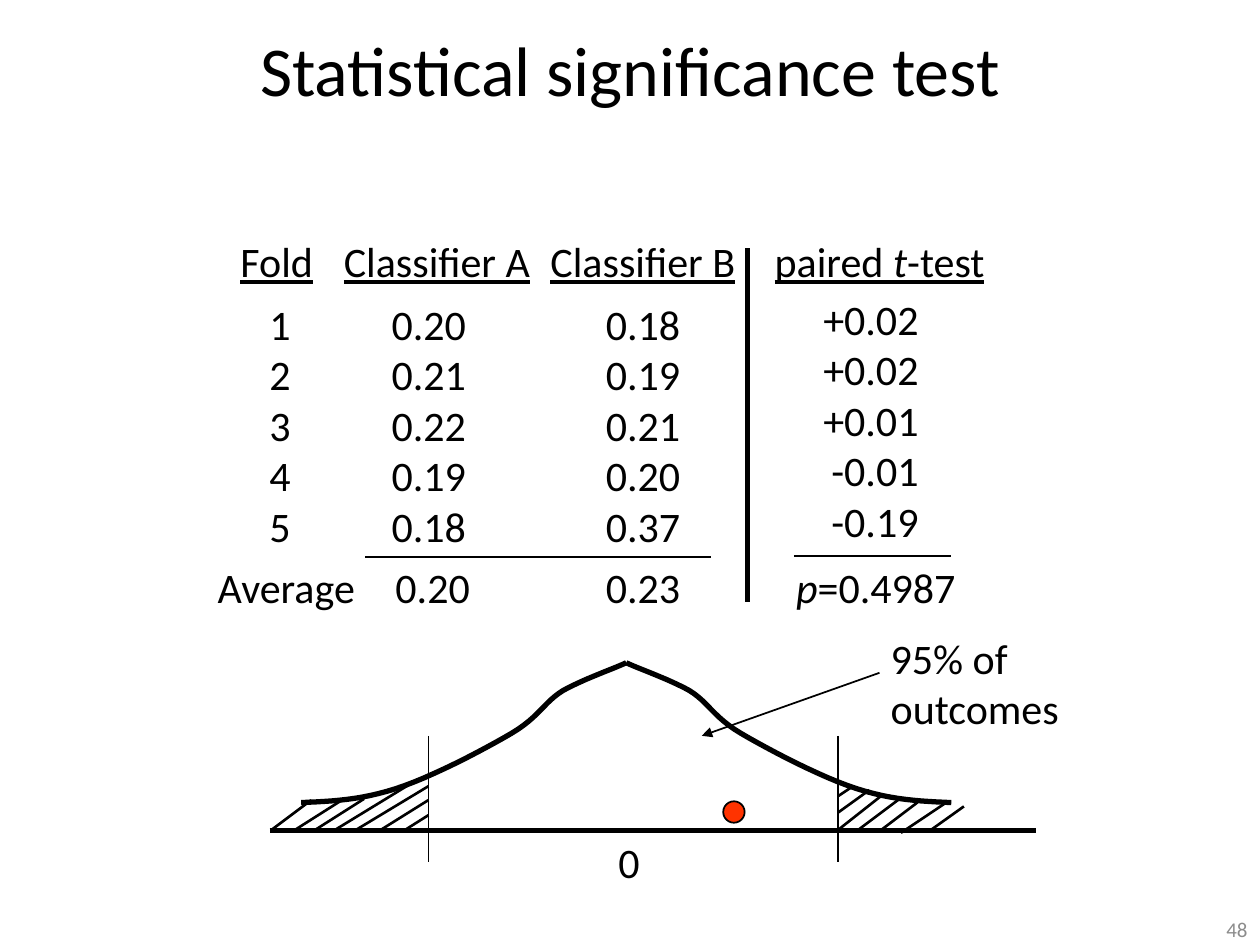
from lxml.etree import SubElement
from pptx import Presentation
from pptx.dml.color import RGBColor
from pptx.enum.shapes import MSO_CONNECTOR as Connector, MSO_SHAPE as Shape
from pptx.enum.text import MSO_ANCHOR as Anchor, MSO_AUTO_SIZE as AutoSize, PP_ALIGN as Align
from pptx.oxml.ns import qn
from pptx.util import Inches, Pt

COLORS = {"ink": "000000", "muted": "8C8C8C", "outcome": "FF3300"}

# Content: plain strings, or lists of (text, italic) runs
TITLE = "Statistical significance test"
PAGE_NUMBER = "48"
HEADER_TOP, FOLDS_TOP, SUMMARY_TOP = 1.82, 2.32, 4.41

# header, folds and summary each carry their own left edge and width
COLUMNS = [
    {"header": ("Fold", 1.81, 0.78),
     "folds": (["1", "2", "3", "4", "5"], 2.04, 0.37),
     "summary": ("Average", 1.63, 1.3)},
    {"header": ("Classifier A", 2.63, 1.69),
     "folds": (["0.20", "0.21", "0.22", "0.19", "0.18"], 3.01, 0.79),
     "summary": ("0.20", 3.04, 0.79)},
    {"header": ("Classifier B", 4.27, 1.68),
     "folds": (["0.18", "0.19", "0.21", "0.20", "0.37"], 4.71, 0.79),
     "summary": ("0.23", 4.71, 0.79)},
    {"header": ([("paired ", False), ("t", True), ("-test", False)], 6.05, 1.88),
     "folds": (["+0.02", "+0.02", "+0.01", "-0.01", "-0.19"], 6.43, 0.96),
     "summary": ([("p", True), ("=0.4987", False)], 6.22, 1.48),
     "align": Align.RIGHT, "lift": 0.04},
]

# Lines as (x1, y1, x2, y2), grouped by weight in points
LINES = {
    3: [(2.14, 6.59, 8.22, 6.59),       # axis
        (5.93, 1.97, 5.93, 4.78)],      # divider before the test column
    1: [(2.9, 4.42, 5.64, 4.42), (6.3, 4.41, 7.55, 4.41),      # sum rules
        (3.4, 5.84, 3.4, 6.84), (6.65, 5.84, 6.65, 6.84)],     # cut-offs
    1.5: [(3.4, 6.35, 3, 6.6), (3.4, 6.24, 2.82, 6.59),        # left tail
          (3.26, 6.22, 2.67, 6.58), (3.4, 6.47, 3.21, 6.59),
          (2.89, 6.34, 2.48, 6.6), (2.73, 6.34, 2.32, 6.6),
          (2.47, 6.35, 2.15, 6.59),
          (7.65, 6.4, 7.37, 6.6), (6.9, 6.27, 6.65, 6.45),     # right tail
          (7.51, 6.37, 7.15, 6.61), (6.77, 6.24, 6.65, 6.32),
          (7.28, 6.37, 6.99, 6.59), (7.14, 6.34, 6.82, 6.58),
          (6.99, 6.32, 6.66, 6.58)],
}
OUTCOMES_ARROW = (6.98, 5.34, 5.57, 5.84)

# Left half of the bell: chained cubic Béziers sharing end points
BELL = [(2.39, 6.37), (2.63, 6.36), (2.86, 6.35), (3.14, 6.26),
        (3.42, 6.17), (3.84, 5.95), (4.06, 5.82),
        (4.28, 5.69), (4.32, 5.57), (4.47, 5.48),
        (4.63, 5.39), (4.89, 5.3), (4.97, 5.26)]
BELL_CENTER = 4.97
STEPS = 12


def rgb(name):
    return RGBColor.from_string(COLORS[name])


def write(paragraph, content, align=Align.LEFT, color="ink", **font):
    paragraph.alignment = align
    runs = [(content, False)] if isinstance(content, str) else content
    for text, italic in runs:
        run = paragraph.add_run()
        run.text = text
        look = {"name": "Calibri", "size": Pt(24), "italic": italic, **font}
        for key, value in look.items():
            setattr(run.font, key, value)
        run.font.color.rgb = rgb(color)


def add_text(slide, rows, left, top, width, height=None, frame=None, **look):
    height = height or 0.1 + 0.4 * len(rows)
    box = slide.shapes.add_textbox(*map(Inches, (left, top, width, height)))
    settings = {"word_wrap": False, "auto_size": AutoSize.SHAPE_TO_FIT_TEXT, **(frame or {})}
    for key, value in settings.items():
        setattr(box.text_frame, key, value)
    for index, row in enumerate(rows):
        paragraph = box.text_frame.add_paragraph() if index else box.text_frame.paragraphs[0]
        write(paragraph, row, **look)


def add_line(slide, ends, weight, arrow=False):
    connector = slide.shapes.add_connector(Connector.STRAIGHT, *map(Inches, ends))
    connector.line.color.rgb = rgb("ink")
    connector.line.width = Pt(weight)
    properties = connector._element.spPr
    if arrow:
        SubElement(properties.find(qn("a:ln")), qn("a:tailEnd"), type="triangle")
    SubElement(properties, qn("a:effectLst"))


def bezier(points):
    """Sample chained cubic curves into a list of points."""
    samples = [points[0]]
    for start in range(0, len(points) - 1, 3):
        controls = points[start:start + 4]
        for step in range(1, STEPS + 1):
            t = step / STEPS
            weights = ((1 - t) ** 3, 3 * t * (1 - t) ** 2, 3 * t * t * (1 - t), t ** 3)
            samples.append(tuple(sum(w * point[axis] for w, point in zip(weights, controls))
                                 for axis in (0, 1)))
    return samples


def add_curve(slide, points):
    # The builder rounds coordinates to whole units, so they go in as EMU
    first, *rest = [(Inches(x), Inches(y)) for x, y in points]
    builder = slide.shapes.build_freeform(*first)
    builder.add_line_segments(rest, close=False)
    curve = builder.convert_to_shape()
    curve.shadow.inherit = False
    curve.fill.background()
    curve.line.color.rgb = rgb("ink")
    curve.line.width = Pt(3)


def main():
    deck = Presentation()
    deck.slide_width, deck.slide_height = Inches(10), Inches(7.5)
    slide = deck.slides.add_slide(deck.slide_layouts[5])

    # Title
    title = slide.shapes.title
    place = {"left": 0, "top": 0, "width": 10, "height": 1.08}
    for key, value in place.items():
        setattr(title, key, Inches(value))
    title.text_frame.vertical_anchor = Anchor.MIDDLE
    write(title.text_frame.paragraphs[0], TITLE, Align.CENTER, size=Pt(40))

    # Bell curve, its right half mirrored from the left
    left_half = bezier(BELL)
    add_curve(slide, left_half)
    add_curve(slide, [(2 * BELL_CENTER - x, y) for x, y in left_half])

    # Axis, rules, cut-offs and hatched tails
    for weight, group in LINES.items():
        for ends in group:
            add_line(slide, ends, weight)
    add_line(slide, OUTCOMES_ARROW, 1, arrow=True)

    # Curve labels
    add_text(slide, ["0"], 4.81, 6.59, 0.37)
    add_text(slide, ["95% of outcomes"], 6.97, 4.97, 1.65, 0.9, {"word_wrap": True})

    # Results by fold
    for column in COLUMNS:
        header, left, width = column["header"]
        add_text(slide, [header], left, HEADER_TOP, width, underline=True)
        folds, left, width = column["folds"]
        add_text(slide, folds, left, FOLDS_TOP - column.get("lift", 0), width,
                 align=column.get("align", Align.LEFT))
        summary, left, width = column["summary"]
        add_text(slide, [summary], left, SUMMARY_TOP, width)

    # Observed outcome
    outcome = slide.shapes.add_shape(Shape.OVAL, *map(Inches, (5.74, 6.36, 0.17, 0.17)))
    outcome.shadow.inherit = False
    outcome.fill.solid()
    outcome.fill.fore_color.rgb = rgb("outcome")
    outcome.line.color.rgb = rgb("ink")
    outcome.line.width = Pt(1)

    # Page number
    add_text(slide, [PAGE_NUMBER], 7.67, 7.25, 2.33, 0.25,
             {"word_wrap": True, "auto_size": AutoSize.NONE, "vertical_anchor": Anchor.MIDDLE},
             align=Align.RIGHT, color="muted", size=Pt(12))

    deck.save("out.pptx")


if __name__ == "__main__":
    main()
